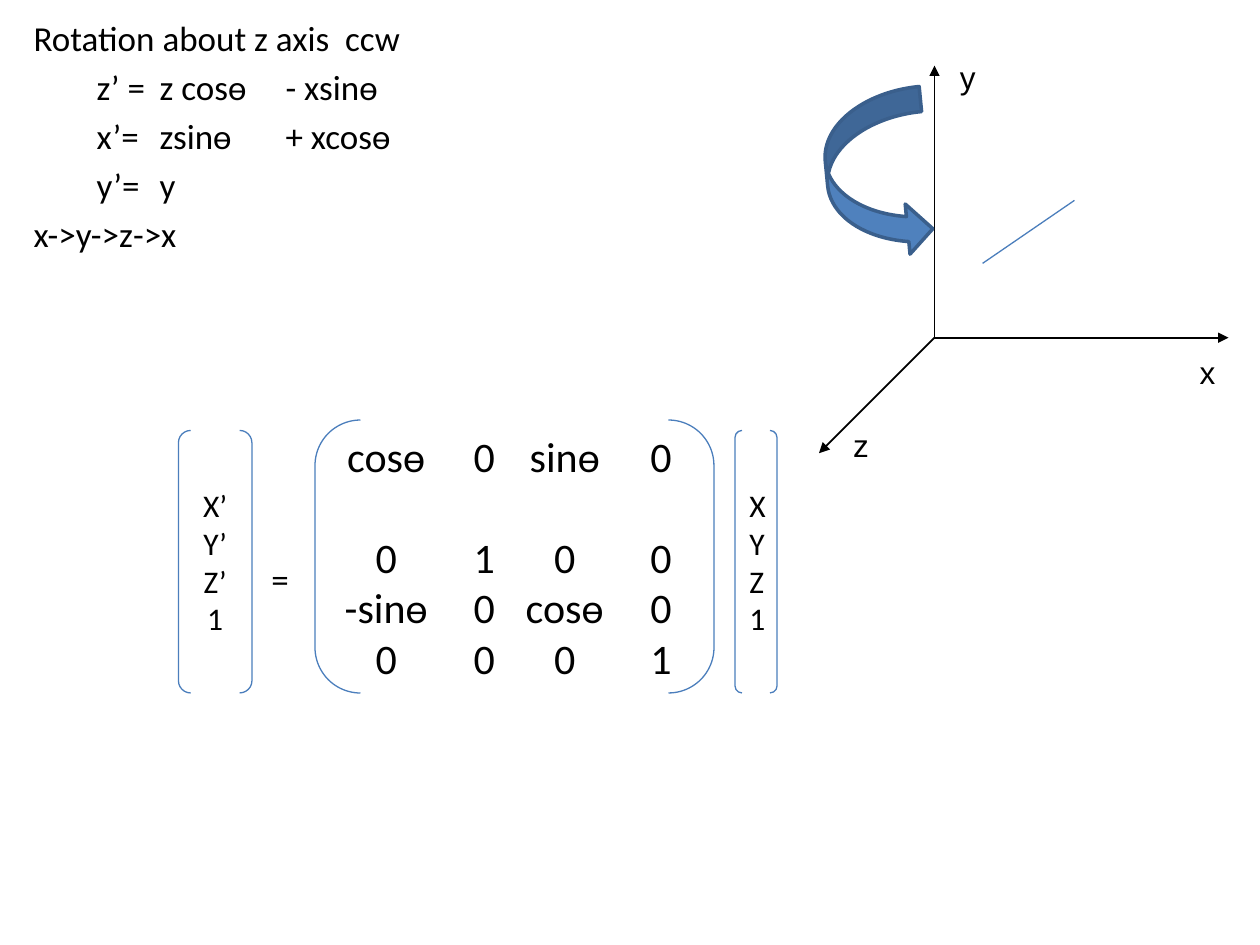
import pptx
import pptx.util
import pptx.dml.color
import pptx.enum.shapes
import pptx.enum.text
import pptx.oxml
import pptx.oxml.ns

Pt = pptx.util.Pt
SHAPE = pptx.enum.shapes.MSO_SHAPE
ALIGN = pptx.enum.text.PP_ALIGN
ANCHOR = pptx.enum.text.MSO_ANCHOR
BLACK, BLUE, FILL, EDGE = "000000", "4B7EBC", "4F81BD", "3A5F8C"

equations = [
    "Rotation about z axis  ccw",
    "\tz’ =\tz cosѳ\t- xsinѳ",
    "\tx’=\tzsinѳ\t+ xcosѳ",
    "\ty’=\ty",
    "x->y->z->x",
]
equation_tabs = [("l", 72), ("l", 108), ("l", 168)]
matrix = [
    ["cosѳ", "0", "sinѳ", "0"],
    ["0", "1", "0", "0"],
    ["-sinѳ", "0", "cosѳ", "0"],
    ["0", "0", "0", "1"],
]
matrix_tabs = [("ctr", x) for x in (26, 82, 128, 183)]
vectors = [
    (["X’", "Y’", "Z’", "1"], (102, 246, 42, 150)),
    (["X", "Y", "Z", "1"], (420, 246, 24, 150)),
]
origin = (534, 193)
axes = [
    ("y", (534, 37.5), (541, 29.5)),
    ("x", (702, 193), (678, 198)),
    ("z", (468, 259), (480, 240)),
]
segment = ((561.5, 150.5), (614, 114.5))


def rgb(value):
    return pptx.dml.color.RGBColor.from_string(value)


def add_xml(parent, tag, **attrs):
    el = pptx.oxml.parse_xml("<a:%s %s/>" % (tag, pptx.oxml.ns.nsdecls("a")))
    for name, value in attrs.items():
        el.set(name, str(value))
    parent.append(el)
    return el


def write(sp, lines, size, align=ALIGN.LEFT, font="Calibri", before=0, tabs=()):
    tf = sp.text_frame
    for i, line in enumerate(lines):
        p = tf.paragraphs[0] if i == 0 else tf.add_paragraph()
        p.alignment = align
        p.space_before = Pt(before)
        if tabs:
            stops = add_xml(p._p.get_or_add_pPr(), "tabLst")
            for kind, pos in tabs:
                add_xml(stops, "tab", pos=int(Pt(pos)), algn=kind)
        r = p.add_run()
        r.text = line
        r.font.size = Pt(size)
        r.font.name = font
        r.font.color.rgb = rgb(BLACK)
    return tf


def add_shape(kind, box, line, width, fill=None):
    sp = s.shapes.add_shape(kind, *map(Pt, box))
    sp.shadow.inherit = False
    sp.line.color.rgb = rgb(line)
    sp.line.width = Pt(width)
    if fill:
        sp.fill.solid()
        sp.fill.fore_color.rgb = rgb(fill)
    else:
        sp.fill.background()
    return sp


def add_bracket(box, lines, size, align, tabs=()):
    sp = add_shape(SHAPE.DOUBLE_BRACKET, box, BLUE, 0.75)
    tf = write(sp, lines, size, align, tabs=tabs)
    tf.vertical_anchor = ANCHOR.MIDDLE
    return tf


def add_line(start, end, color, width, arrow=False):
    line = s.shapes.add_connector(
        pptx.enum.shapes.MSO_CONNECTOR.STRAIGHT, *map(Pt, start + end))
    line.line.color.rgb = rgb(color)
    line.line.width = Pt(width)
    if arrow:
        add_xml(line.line._get_or_add_ln(), "tailEnd", type="triangle")
    add_xml(line._element.spPr, "effectLst")


def add_label(text, box, size, font):
    sp = s.shapes.add_textbox(*map(Pt, box))
    tf = write(sp, [text], size, ALIGN.CENTER, font)
    tf.word_wrap = False


prs = pptx.Presentation()
prs.slide_width, prs.slide_height = Pt(720), Pt(540)
s = prs.slides.add_slide(prs.slide_layouts[0])
title = s.shapes.title
title._element.getparent().remove(title._element)

body = s.placeholders[1]
body.left, body.top, body.width, body.height = map(Pt, (12, 6, 504, 148))
tf = write(body, equations, 20, before=4, tabs=equation_tabs)
tf.vertical_anchor = ANCHOR.TOP
tf.auto_size = pptx.enum.text.MSO_AUTO_SIZE.NONE

for lines, box in vectors:
    add_bracket(box, lines, 18, ALIGN.CENTER)
rows = ["\t" + "\t".join(row) for row in matrix]
tf = add_bracket((180, 240, 228, 156), rows, 24, ALIGN.LEFT, matrix_tabs)
tf.paragraphs[0].space_after = Pt(29)
add_label("=", (148, 315, 24, 32), 20, "Calibri")

for name, tip, (x, y) in axes:
    add_line(origin, tip, BLACK, 1, arrow=True)
    add_label(name, (x, y, 24, 29), 18, "Arial")
add_line(*segment, BLUE, 0.75)

turn = add_shape(SHAPE.CURVED_RIGHT_ARROW, (472.5, 52, 57.5, 96), EDGE, 2, FILL)
turn.rotation = 354.5

prs.save("out.pptx")
